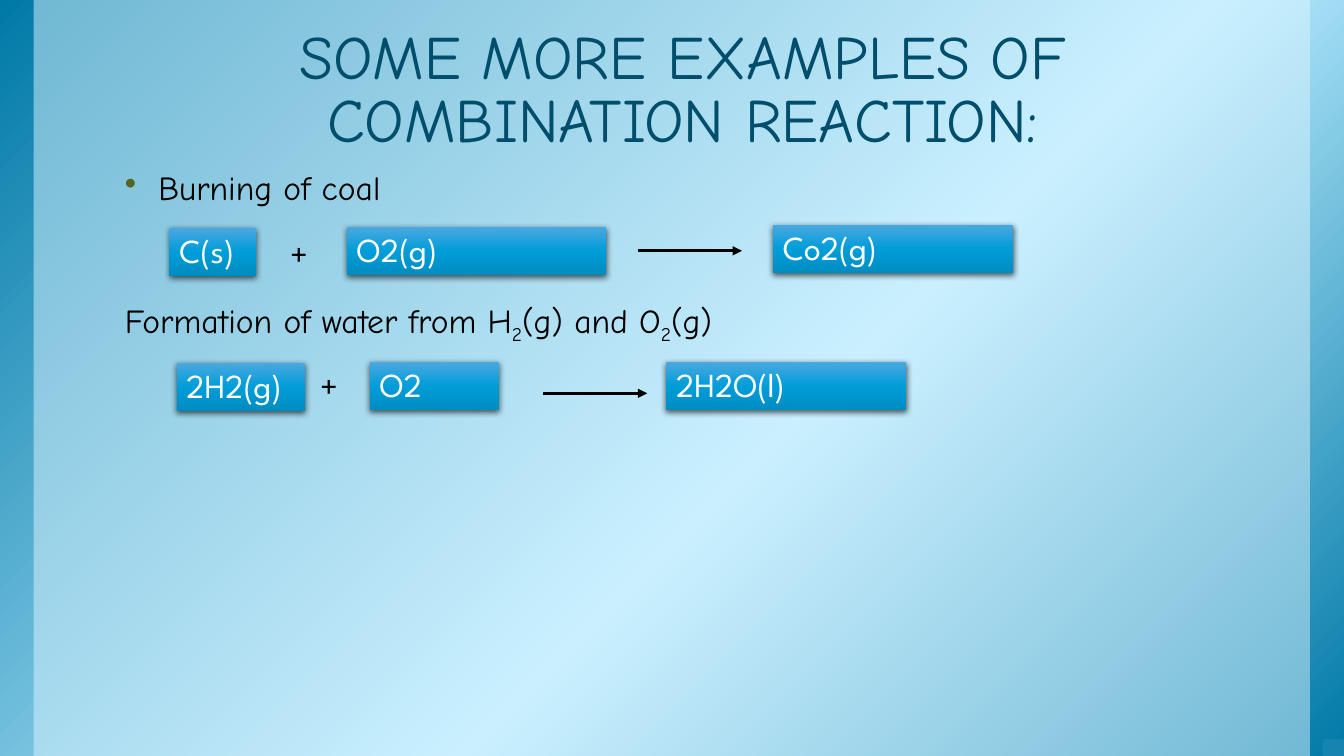
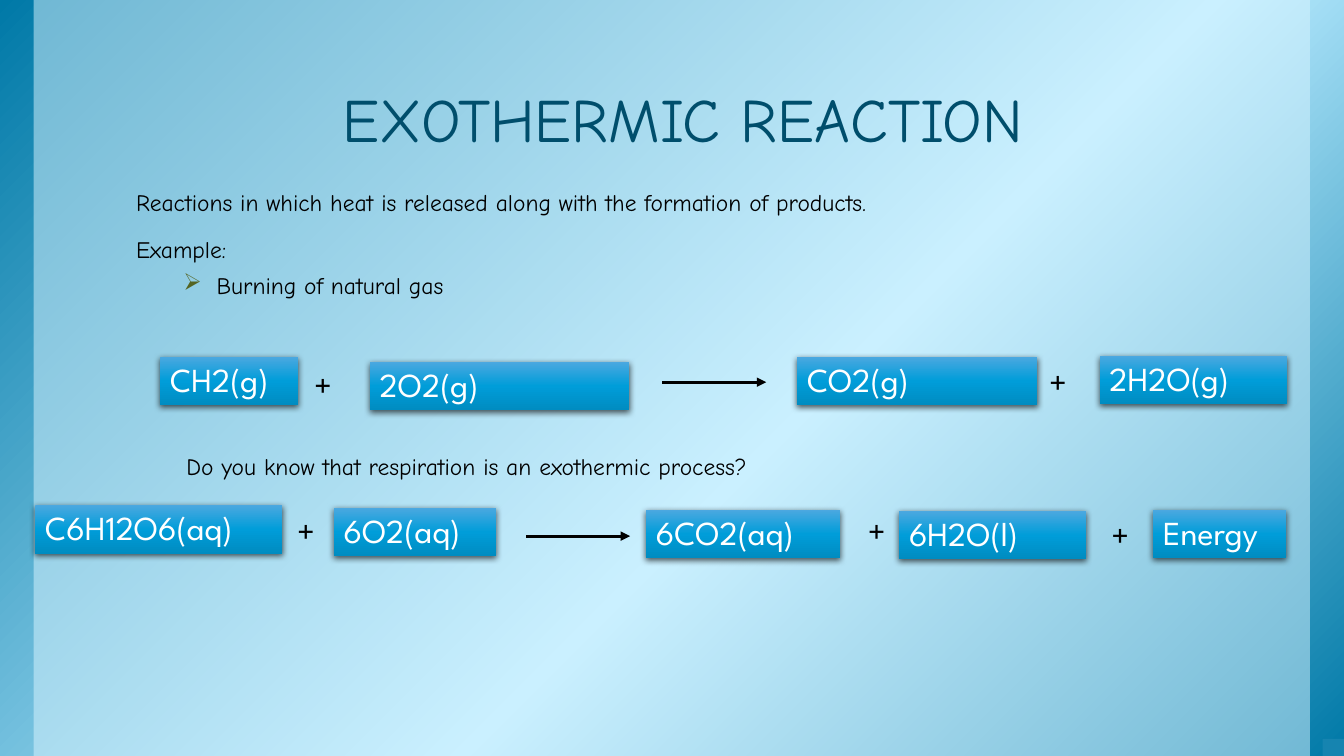
from dataclasses import dataclass

import lxml.etree
import pptx
import pptx.dml.color
import pptx.enum.shapes
import pptx.enum.text
import pptx.oxml.ns
import pptx.util

Cm, Pt, qn = pptx.util.Cm, pptx.util.Pt, pptx.oxml.ns.qn
Align, Anchor = pptx.enum.text.PP_ALIGN, pptx.enum.text.MSO_ANCHOR
RECT = pptx.enum.shapes.MSO_SHAPE.RECTANGLE

# Shared look
WIDTH, HEIGHT = 33.87, 19.05
BACK_STOPS = [(0, "0079A7"), (58, "B9EBFF"), (100, "0079A7")]
BOX_STOPS = [(0, "4BA8E0"), (50, "009DD9"), (100, "008CC1")]
PANEL, CORNER, BULLET = "DCF5FF", "1684B0", "546422"
TITLE, BLACK, WHITE = "004E6C", "000000", "FFFFFF"
TEXT_FONT, FORMULA_FONT = "Comic Neue", "League Spartan"
FORMULA_SIZE = 24
TERM_HEIGHT, PLUS_WIDTH, ARROW_LENGTH = 1.22, 1.04, 2.62


@dataclass
class Line:
    text: str  # pieces between underscores are subscripts
    before: float = 0
    left: float = 0
    bullet: str = ""


@dataclass
class Body:
    left: float
    top: float
    height: float
    size: float
    spacing: float
    lines: list[Line]


@dataclass
class Term:
    text: str
    x: float
    y: float
    width: float


@dataclass
class Mark:
    x: float
    y: float


@dataclass
class Page:
    title: str
    body: Body
    terms: list[Term]
    pluses: list[Mark]
    arrows: list[Mark]


# Formatting helpers
def rgb(value: str):
    return pptx.dml.color.RGBColor.from_string(value)


def sub(parent, tag: str, **attrs):
    return lxml.etree.SubElement(parent, qn(tag), attrs)


def set_attrs(target, values: dict) -> None:
    for name, value in values.items():
        setattr(target, name, value)


def set_gradient(sp, stops: list, angle: int) -> None:
    sp.fill.gradient()
    sp.fill.gradient_angle = 360 - angle
    stop_list = sp._element.spPr.find(qn("a:gradFill")).find(qn("a:gsLst"))
    for old in list(stop_list):
        stop_list.remove(old)
    for position, colour in stops:
        gs = sub(stop_list, "a:gs", pos=str(position * 1000))
        sub(gs, "a:srgbClr", val=colour)


def add_rect(s, x: float, y: float, w: float, h: float, colour: str = ""):
    sp = s.shapes.add_shape(RECT, Cm(x), Cm(y), Cm(w), Cm(h))
    sp.shadow.inherit = False
    sp.line.fill.background()
    if colour:
        sp.fill.solid()
        sp.fill.fore_color.rgb = rgb(colour)
    return sp


def set_frame(sp, anchor=Anchor.TOP, side: float = 0.25, end: float = 0.13):
    tf = sp.text_frame
    set_attrs(tf, {
        "word_wrap": True, "vertical_anchor": anchor,
        "margin_left": Cm(side), "margin_right": Cm(side),
        "margin_top": Cm(end), "margin_bottom": Cm(end),
    })
    return tf


def write(p, text: str, font: str, size: float, colour: str, spacing: float,
          align=Align.LEFT, before: float = 0) -> None:
    set_attrs(p, {"alignment": align, "line_spacing": spacing,
                  "space_before": Pt(before)})
    for i, piece in enumerate(text.split("_")):
        r = p.add_run()
        r.text = piece
        set_attrs(r.font, {"name": font, "size": Pt(size)})
        r.font.color.rgb = rgb(colour)
        if i % 2:
            r.font._element.set("baseline", "-25000")


# Slide parts
def add_background(s) -> None:
    set_gradient(add_rect(s, 0, 0, WIDTH, HEIGHT), BACK_STOPS, 45)
    panel = add_rect(s, 0.85, 0, 32.16, HEIGHT, PANEL)
    colour = panel._element.spPr.find(qn("a:solidFill"))[0]
    sub(colour, "a:alpha", val="50000")


def add_title(s, text: str) -> None:
    sp = s.shapes.add_textbox(Cm(3.1), Cm(0.2), Cm(28.22), Cm(3.89))
    tf = set_frame(sp, Anchor.BOTTOM, 0.33, 0.18)
    write(tf.paragraphs[0], text, TEXT_FONT, 44, TITLE, 0.85, Align.CENTER)


def add_body(s, body: Body) -> None:
    sp = s.shapes.add_textbox(Cm(body.left), Cm(body.top), Cm(28.22), Cm(body.height))
    tf = set_frame(sp, side=0.33, end=0.18)
    for i, line in enumerate(body.lines):
        p = tf.add_paragraph() if i else tf.paragraphs[0]
        pPr = p._p.get_or_add_pPr()
        pPr.set("marL", str(Cm(line.left)))
        if line.bullet:
            pPr.set("indent", str(-Cm(0.84)))
            sub(sub(pPr, "a:buClr"), "a:srgbClr", val=BULLET)
            sub(pPr, "a:buChar", char=line.bullet)
        write(p, line.text, TEXT_FONT, body.size, BLACK, body.spacing,
              before=line.before)


def add_term(s, term: Term) -> None:
    sp = add_rect(s, term.x, term.y, term.width, TERM_HEIGHT)
    set_gradient(sp, BOX_STOPS, 90)
    effects = sp._element.spPr.find(qn("a:effectLst"))
    shadow = sub(effects, "a:outerShdw", blurRad=str(Pt(4.5)), dist=str(Pt(1.5)),
                 dir="5400000", algn="ctr", rotWithShape="0")
    sub(sub(shadow, "a:srgbClr", val=BLACK), "a:alpha", val="63000")
    write(set_frame(sp).paragraphs[0], term.text, FORMULA_FONT, FORMULA_SIZE,
          WHITE, 0.95)


def add_plus(s, mark: Mark) -> None:
    sp = s.shapes.add_textbox(Cm(mark.x), Cm(mark.y), Cm(PLUS_WIDTH), Cm(TERM_HEIGHT))
    write(set_frame(sp).paragraphs[0], "+", FORMULA_FONT, FORMULA_SIZE, BLACK, 0.95)


def add_arrow(s, mark: Mark) -> None:
    line = s.shapes.add_connector(
        pptx.enum.shapes.MSO_CONNECTOR.STRAIGHT,
        Cm(mark.x), Cm(mark.y), Cm(mark.x + ARROW_LENGTH), Cm(mark.y))
    line.line.width = Pt(2.25)
    line.line.color.rgb = rgb(BLACK)
    sub(line.line._get_or_add_ln(), "a:tailEnd", type="triangle")
    sub(line._element.spPr, "a:effectLst")


def add_page(prs, page: Page) -> None:
    s = prs.slides.add_slide(prs.slide_layouts[6])
    add_background(s)
    add_title(s, page.title)
    add_body(s, page.body)
    for items, draw in ((page.terms, add_term), (page.pluses, add_plus),
                        (page.arrows, add_arrow)):
        for item in items:
            draw(s, item)
    add_rect(s, 33.33, 18.62, 0.54, 0.43, CORNER)


# Content
PAGES = [
    Page(
        "SOME MORE EXAMPLES OF COMBINATION REACTION:",
        Body(2.82, 4.09, 14.96, 24, 0.95, [
            Line("Burning of coal", left=0.84, bullet="•"),
            Line("Formation of water from H_2_(g) and O_2_(g)", before=65.7),
        ]),
        [
            Term("C(s)", 4.27, 5.74, 2.18),
            Term("O2(g)", 8.74, 5.72, 6.53),
            Term("Co2(g)", 19.48, 5.66, 6.05),
            Term("2H2(g)", 4.45, 9.14, 3.25),
            Term("O2", 9.32, 9.12, 3.25),
            Term("2H2O(l)", 16.79, 9.12, 6.05),
        ],
        [Mark(7.06, 5.82), Mark(7.82, 9.14)],
        [Mark(16.08, 6.32), Mark(13.69, 9.91)],
    ),
    Page(
        "EXOTHERMIC REACTION",
        Body(3.1, 4.72, 8.61, 16.8, 0.75, [
            Line("Reactions in which heat is released along with the "
                 "formation of products."),
            Line("Example:", before=18.6),
            Line("Burning of natural gas", before=10.7, left=2.03, bullet="➢"),
            Line("Do you know that respiration is an exothermic process?",
                 before=114, left=1.27),
        ]),
        [
            Term("CH2(g)", 4.04, 8.99, 3.48),
            Term("2O2(g)", 9.32, 9.12, 6.53),
            Term("CO2(g)", 20.09, 8.99, 6.05),
            Term("2H2O(g)", 27.71, 8.97, 4.72),
            Term("C6H12O6(aq)", 0.89, 12.73, 6.22),
            Term("6O2(aq)", 8.41, 12.8, 4.09),
            Term("6CO2(aq)", 16.28, 12.85, 4.9),
            Term("6H2O(l)", 22.66, 12.88, 4.72),
            Term("Energy", 29.06, 12.85, 3.35),
        ],
        [Mark(7.67, 9.12), Mark(26.19, 9.04), Mark(7.24, 12.8),
         Mark(21.62, 12.8), Mark(27.76, 12.9)],
        [Mark(16.69, 9.63), Mark(13.26, 13.51)],
    ),
]


def main() -> None:
    prs = pptx.Presentation()
    prs.slide_width, prs.slide_height = Cm(WIDTH), Cm(HEIGHT)
    for page in PAGES:
        add_page(prs, page)
    prs.save("out.pptx")


if __name__ == "__main__":
    main()
